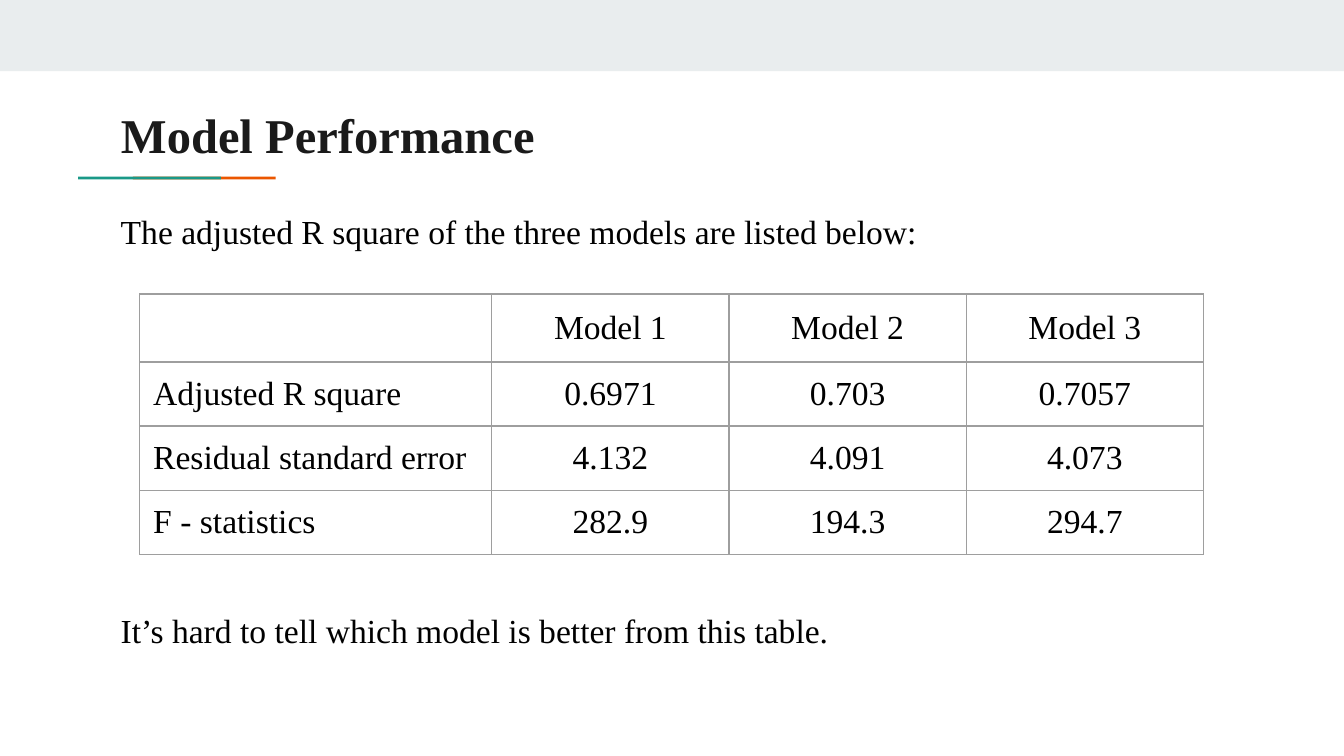
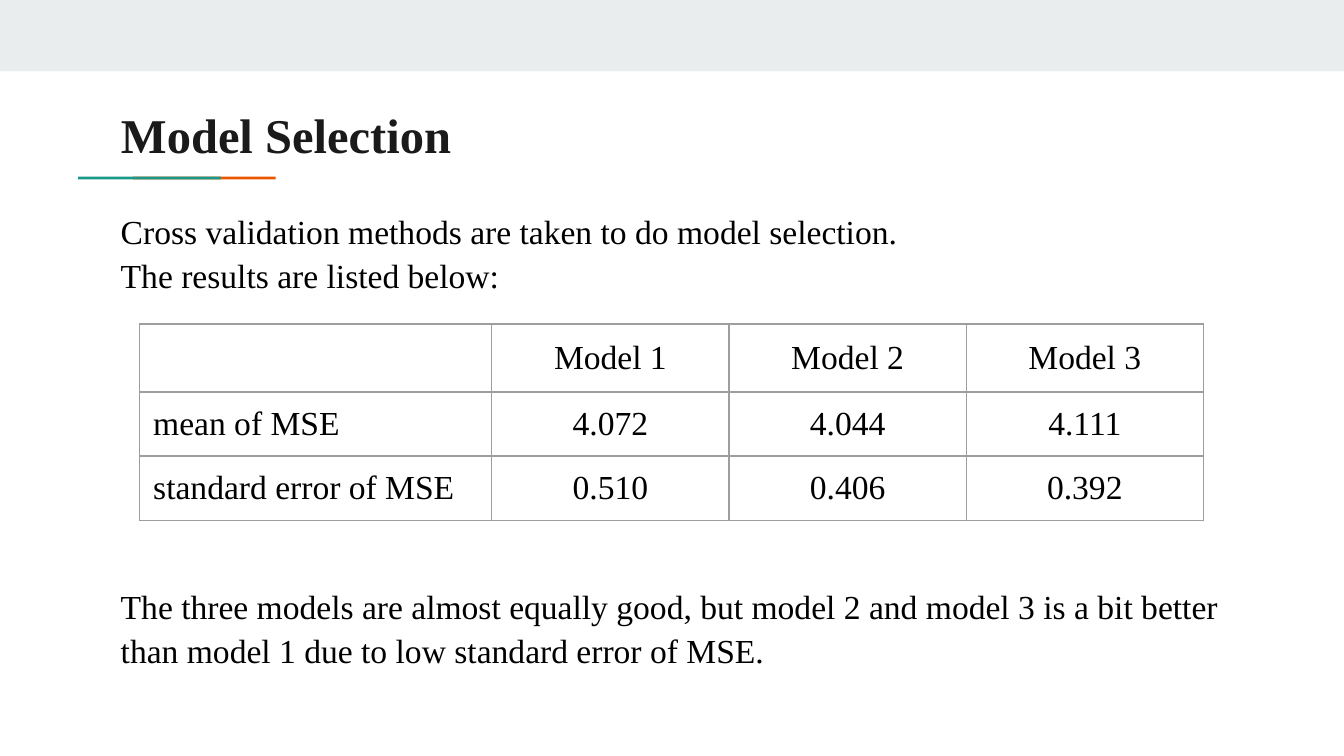
from lxml.etree import SubElement
from pptx import Presentation
from pptx.dml.color import RGBColor
from pptx.enum.shapes import MSO_SHAPE
from pptx.enum.text import MSO_ANCHOR, MSO_AUTO_SIZE, PP_ALIGN
from pptx.oxml.ns import qn
from pptx.util import Pt

COLORS = {
    "band": "E9EDEE",
    "orange": "EB5600",
    "green": "1A9988",
    "title": "1A1A1A",
    "text": "000000",
    "border": "9E9E9E",
}
FONT = "Times New Roman"
INSET = 7.2
TEXT_LEFT, TEXT_WIDTH = 57.6, 605.5
TABLE_LEFT, ROW_HEIGHT = 74.9, 30.24
COLUMN_WIDTHS = [188.6, 127.1, 127.1, 127.1]
MODELS = ["", "Model 1", "Model 2", "Model 3"]

# Shared decoration: colour, left, top, width, height
DECORATION = [
    ("band", 0, 0, 720, 38.2),
    ("orange", 71.2, 94.6, 76.5, 1.6),
    ("green", 41.8, 94.6, 76.5, 1.6),
]

SLIDES = [
    {
        "title": "Model Performance",
        "intro": "The adjusted R square of the three models are listed below:",
        "table_top": 157.5,
        "rows": [
            MODELS,
            ["Adjusted R square", "0.6971", "0.703", "0.7057"],
            ["Residual standard error", "4.132", "4.091", "4.073"],
            ["F - statistics", "282.9", "194.3", "294.7"],
        ],
        "conclusion": "It’s hard to tell which model is better from this table.",
        "conclusion_area": (317.5, 33.8),
    },
    {
        "title": "Model Selection",
        "intro": "Cross validation methods are taken to do model selection.\n"
                 "The results are listed below:",
        "table_top": 173.6,
        "rows": [
            MODELS,
            ["mean of MSE", "4.072", "4.044", "4.111"],
            ["standard error of MSE", "0.510", "0.406", "0.392"],
        ],
        "conclusion": "The three models are almost equally good, but model 2 and model 3 "
                      "is a bit better than model 1 due to low standard error of MSE.",
        "conclusion_area": (304.6, 59),
    },
]


def write(frame, text, size=18, color="text", bold=False, align=PP_ALIGN.LEFT,
          spacing=1.1):
    frame.word_wrap = True
    frame.text = text
    for para in frame.paragraphs:
        para.alignment = align
        para.line_spacing = spacing
        for span in para.runs:
            span.font.name = FONT
            span.font.size = Pt(size)
            span.font.bold = bold
            span.font.color.rgb = RGBColor.from_string(COLORS[color])


def draw_borders(cell):
    properties = cell._tc.get_or_add_tcPr()
    for side in ("a:lnL", "a:lnR", "a:lnT", "a:lnB"):
        line = SubElement(properties, qn(side), w=str(Pt(0.75)))
        fill = SubElement(line, qn("a:solidFill"))
        SubElement(fill, qn("a:srgbClr"), val=COLORS["border"])


deck = Presentation()
deck.slide_width, deck.slide_height = Pt(720), Pt(405)

for content in SLIDES:
    page = deck.slides.add_slide(deck.slide_layouts[5])

    for color, *area in DECORATION:
        shape = page.shapes.add_shape(MSO_SHAPE.RECTANGLE, *map(Pt, area))
        shape.shadow.inherit = False
        shape.fill.solid()
        shape.fill.fore_color.rgb = RGBColor.from_string(COLORS[color])
        shape.line.fill.background()

    # Title, introduction and conclusion share one column
    title = page.shapes.title
    intro, conclusion = [page.shapes.add_textbox(0, 0, 0, 0) for _ in range(2)]
    for box, key, (top, height), style in [
        (title, "title", (46.1, 50.4), {"size": 26, "color": "title", "bold": True}),
        (intro, "intro", (103.7, 33.8), {}),
        (conclusion, "conclusion", content["conclusion_area"], {}),
    ]:
        box.left, box.top = Pt(TEXT_LEFT), Pt(top)
        box.width, box.height = Pt(TEXT_WIDTH), Pt(height)
        frame = box.text_frame
        frame.auto_size = MSO_AUTO_SIZE.NONE
        frame.vertical_anchor = MSO_ANCHOR.TOP
        frame.margin_left = frame.margin_right = Pt(INSET)
        frame.margin_top = frame.margin_bottom = Pt(INSET)
        write(frame, content[key], **style)

    rows = content["rows"]
    table = page.shapes.add_table(
        len(rows), len(MODELS), Pt(TABLE_LEFT), Pt(content["table_top"]),
        Pt(sum(COLUMN_WIDTHS)), Pt(ROW_HEIGHT * len(rows))).table
    table.first_row = table.horz_banding = False
    for column, width in zip(table.columns, COLUMN_WIDTHS):
        column.width = Pt(width)
    for row_index, values in enumerate(rows):
        for column_index, value in enumerate(values):
            cell = table.cell(row_index, column_index)
            cell.margin_left = cell.margin_right = Pt(INSET)
            cell.margin_top = cell.margin_bottom = Pt(INSET)
            cell.vertical_anchor = MSO_ANCHOR.MIDDLE if column_index else MSO_ANCHOR.TOP
            write(cell.text_frame, value, spacing=1.0,
                  align=PP_ALIGN.CENTER if column_index else PP_ALIGN.LEFT)
            draw_borders(cell)
            cell.fill.background()

deck.save("out.pptx")
